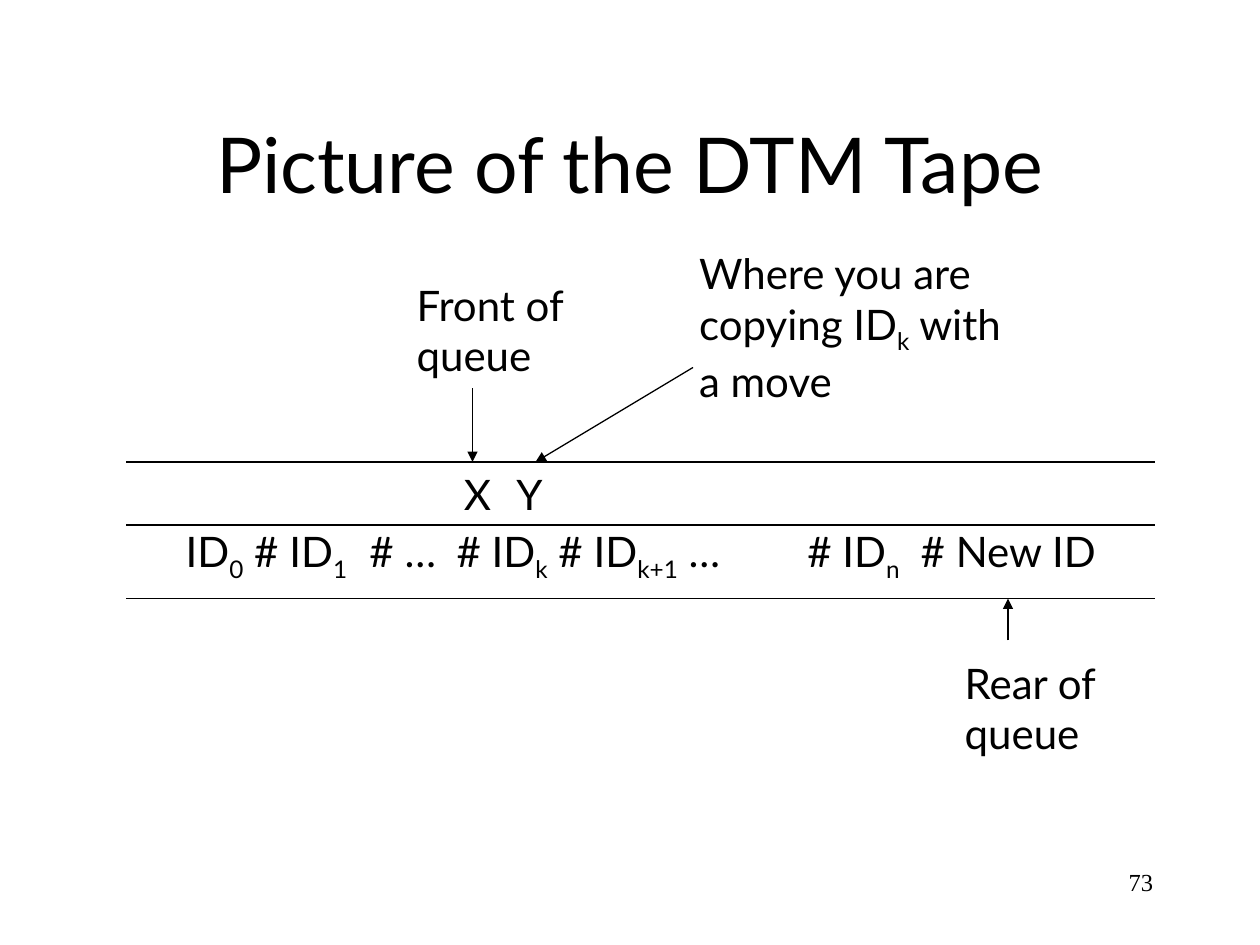
from lxml import etree
from pptx import Presentation
from pptx.dml.color import RGBColor
from pptx.enum.shapes import MSO_CONNECTOR
from pptx.enum.text import MSO_ANCHOR, PP_ALIGN
from pptx.oxml.ns import qn
from pptx.util import Inches, Pt

LEFT, CENTER, RIGHT = PP_ALIGN.LEFT, PP_ALIGN.CENTER, PP_ALIGN.RIGHT
TOP, MIDDLE = MSO_ANCHOR.TOP, MSO_ANCHOR.MIDDLE
STRAIGHT = MSO_CONNECTOR.STRAIGHT
CELL = Inches(1) // 12  # the slide is a grid of 120 columns by 90 rows
INK = RGBColor.from_string("000000")

LABEL = {"size": Pt(24), "name": "Lato"}
TITLE = {"size": Pt(44), "name": "Lato"}
NUMBER = {"size": Pt(14), "name": "Times New Roman"}


def add_text(box, lines, style, align=LEFT, anchor=TOP, stops=()):
    """Write lines into a box of cells; text between bars is subscript."""
    frame = slide.shapes.add_textbox(*[round(n * CELL) for n in box]).text_frame
    frame.word_wrap = True
    frame.vertical_anchor = anchor
    for i, line in enumerate(lines):
        para = frame.paragraphs[0] if i == 0 else frame.add_paragraph()
        para.alignment = align
        if stops:
            tabs = etree.SubElement(para._p.get_or_add_pPr(), qn("a:tabLst"))
            for stop in stops:
                etree.SubElement(tabs, qn("a:tab"), pos=str(round(stop * CELL)), algn="l")
        for j, part in enumerate(line.split("|")):
            run = para.add_run()
            run.text = part
            for key, value in style.items():
                setattr(run.font, key, value)
            run.font.color.rgb = INK
            if j % 2:
                run._r.get_or_add_rPr().set("baseline", "-25000")


def add_line(ends, arrow=False):
    line = slide.shapes.add_connector(STRAIGHT, *[round(n * CELL) for n in ends])
    line.line.color.rgb = INK
    line.line.width = Pt(0.75)
    if arrow:
        etree.SubElement(line.line._get_or_add_ln(), qn("a:tailEnd"), type="triangle")
    etree.SubElement(line._element.spPr, qn("a:effectLst"))


deck = Presentation()
deck.slide_width, deck.slide_height = 120 * CELL, 90 * CELL
slide = deck.slides.add_slide(deck.slide_layouts[6])

add_text((86, 82, 25, 6), ["73"], NUMBER, RIGHT)
add_text((9, 8, 102, 15), ["Picture of the DTM Tape"], TITLE, CENTER, MIDDLE)

# Tape with two tracks
upper, middle, lower = 44, 50, 57
for row in (upper, middle, lower):
    add_line((12, row, 110, row))
tape = "ID|0| # ID|1|\t# …\t# ID|k| # ID|k+1| …\t# ID|n|\t# New ID"
add_text((16.5, 49.5, 92.5, 6.7), [tape], LABEL, stops=(17.5, 25.8, 59.2, 70))
for mark, col in (("X", 43), ("Y", 48)):
    add_text((col, upper, 4.7, 6), [mark], LABEL)

# Notes and the arrows that tie them to the tape
notes = [
    ((38.5, 26, 17.3, 10.8), ["Front of", "queue"], (45, 37, 45, upper)),
    ((65.4, 23, 34, 16.3), ["Where you are", "copying ID|k| with", "a move"],
     (66, 35, 51, upper)),
    ((90.7, 62, 15.8, 10.8), ["Rear of", "queue"], (96, 61, 96, lower)),
]
for box, lines, ends in notes:
    add_text(box, lines, LABEL)
    add_line(ends, arrow=True)

deck.save("out.pptx")
